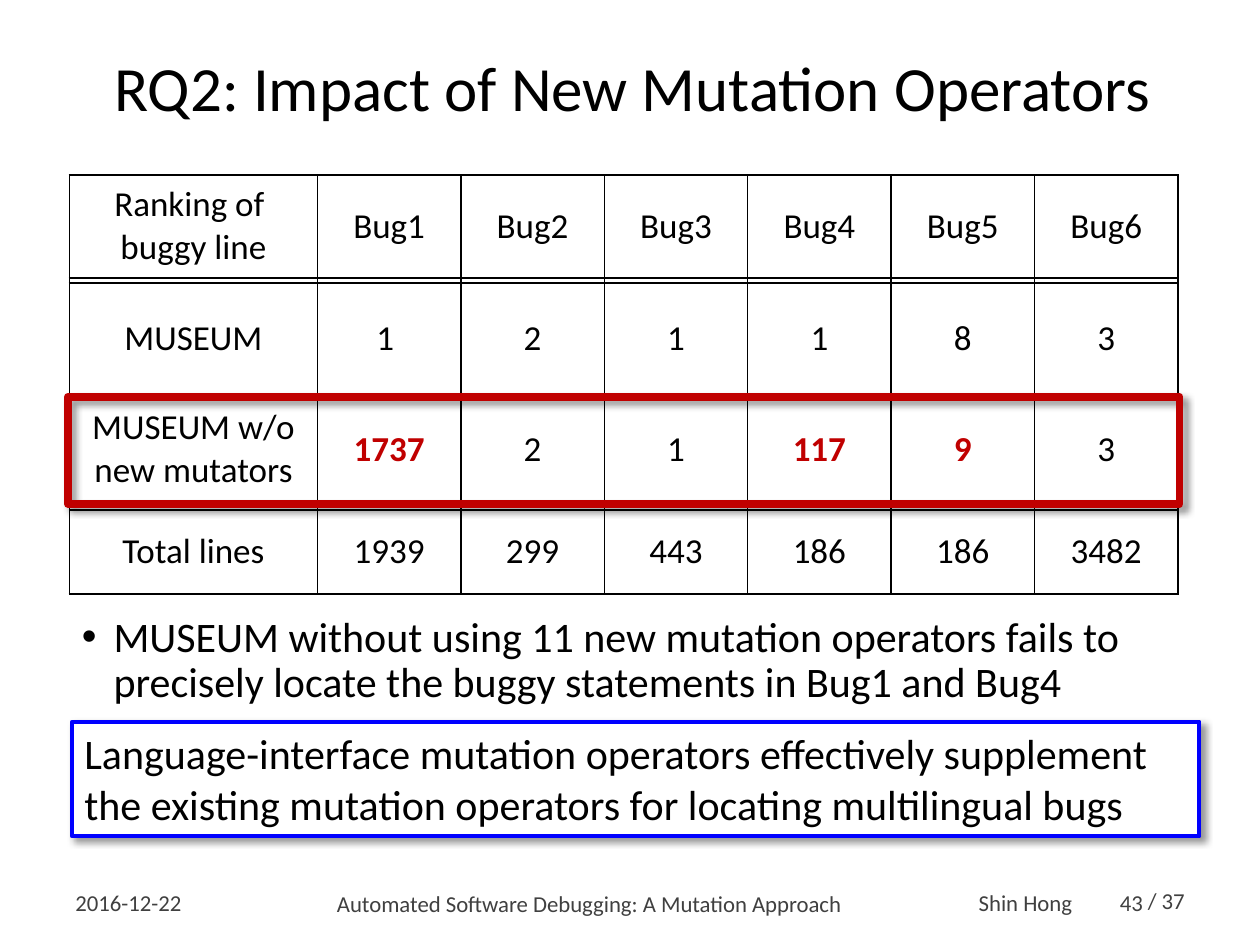
from dataclasses import dataclass

from lxml.etree import SubElement
from pptx import Presentation
from pptx.dml.color import RGBColor
from pptx.enum.shapes import MSO_SHAPE
from pptx.enum.text import MSO_ANCHOR, PP_ALIGN
from pptx.oxml.ns import qn
from pptx.util import Cm, Pt


@dataclass(frozen=True)
class Theme:
    font: str = "Calibri"
    ink: str = "000000"
    muted: str = "404040"
    paper: str = "FFFFFF"
    alert: str = "C00000"
    accent: str = "0000FF"
    title: int = 36
    body: int = 24
    cell: int = 20
    footer: int = 13


T = Theme()
HEADS = ["Ranking of \vbuggy line"] + [f"Bug{n}" for n in range(1, 7)]
ROWS = [
    HEADS,
    None,  # thin row that makes a double rule
    ["MUSEUM", "1 ", "2", "1", "1", "8", "3"],
    ["MUSEUM w/o new mutators", "1737", "2", "1", "117", "9", "3"],
    None,
    ["Total lines", "1939", "299", "443", "186", "186", "3482"],
]
ROW_HEIGHTS = [2.07, 0.1, 2.24, 2.24, 0.1, 1.69]
WORSE = {"1737", "117", "9"}


def rgb(value):
    return RGBColor.from_string(value)


def write(tf, text, size, color=T.ink, bold=False, align=PP_ALIGN.LEFT,
          anchor=MSO_ANCHOR.MIDDLE, spacing=None, bullet=False):
    """Fill a text frame with one formatted paragraph."""
    tf.word_wrap = True
    tf.vertical_anchor = anchor
    p = tf.paragraphs[0]
    p.text = text
    p.alignment = align
    if spacing:
        p.line_spacing = spacing
    if bullet:
        pPr = p._p.get_or_add_pPr()
        pPr.set("marL", str(Cm(0.64)))
        pPr.set("indent", str(Cm(-0.64)))
        SubElement(pPr, qn("a:buFont"), typeface="Arial")
        SubElement(pPr, qn("a:buChar"), char="•")
    for r in p.runs:
        r.font.name = T.font
        r.font.size = Pt(size)
        r.font.bold = bold
        r.font.color.rgb = rgb(color)


def add_text(s, box, text, size, **fmt):
    sp = s.shapes.add_textbox(*map(Cm, box))
    write(sp.text_frame, text, size, **fmt)


def add_frame(s, box, color, width, fill=None):
    """Outlined rectangle with a soft shadow at the lower right."""
    sp = s.shapes.add_shape(MSO_SHAPE.RECTANGLE, *map(Cm, box))
    if fill:
        sp.fill.solid()
        sp.fill.fore_color.rgb = rgb(fill)
    else:
        sp.fill.background()
    sp.line.color.rgb = rgb(color)
    sp.line.width = Pt(width)
    sp.shadow.inherit = False
    effects = sp._element.spPr.find(qn("a:effectLst"))
    shadow = SubElement(effects, qn("a:outerShdw"), blurRad=str(Pt(4)),
                        dist=str(Pt(3)), dir="2700000", algn="tl", rotWithShape="0")
    shade = SubElement(shadow, qn("a:srgbClr"), val=T.ink)
    SubElement(shade, qn("a:alpha"), val="40000")
    return sp


def add_borders(cell):
    tcPr = cell._tc.get_or_add_tcPr()
    for side in ("lnL", "lnR", "lnT", "lnB"):
        ln = SubElement(tcPr, qn(f"a:{side}"), w=str(Pt(1)))
        fill = SubElement(ln, qn("a:solidFill"))
        SubElement(fill, qn("a:srgbClr"), val=T.ink)


def ranking_table(s, left, top, width):
    """Ranking grid, with the row of weaker results framed."""
    first = 5.0
    other = (width - first) / (len(HEADS) - 1)
    table = s.shapes.add_table(len(ROWS), len(HEADS), Cm(left), Cm(top),
                               Cm(width), Cm(sum(ROW_HEIGHTS))).table
    table.first_row = table.horz_banding = False
    for i, column in enumerate(table.columns):
        column.width = Cm(other if i else first)
    for row, height, values in zip(table.rows, ROW_HEIGHTS, ROWS):
        row.height = Cm(height)
        for i, cell in enumerate(row.cells):
            add_borders(cell)
            cell.fill.background()
            if values:
                worse = values[i] in WORSE
                write(cell.text_frame, values[i], T.cell, bold=worse,
                      color=T.alert if worse else T.ink, align=PP_ALIGN.CENTER)
                cell.vertical_anchor = MSO_ANCHOR.MIDDLE
            else:
                cell.margin_top = cell.margin_bottom = 0
                SubElement(cell.text_frame.paragraphs[0]._p,
                           qn("a:endParaRPr"), sz="100")
    add_frame(s, (left - 0.03, top + sum(ROW_HEIGHTS[:3]) + 0.06, width + 0.06, 2.16),
              T.alert, 4.5)


def heading(s, box, text):
    sp = s.shapes.title
    sp.left, sp.top, sp.width, sp.height = map(Cm, box)
    write(sp.text_frame, text, T.title, align=PP_ALIGN.CENTER, spacing=0.9)


def conclusion(s, left, top):
    """Bullet with the finding, then the boxed message."""
    add_text(s, (left, top, 22.35, 2.26),
             "MUSEUM without using 11 new mutation operators fails to precisely "
             "locate the buggy statements in Bug1 and Bug4",
             T.body, anchor=MSO_ANCHOR.TOP, spacing=0.9, bullet=True)
    sp = add_frame(s, (left + 0.05, top + 2.26, 22.73, 2.31), T.accent, 2.25, T.paper)
    write(sp.text_frame,
          "Language-interface mutation operators effectively supplement the "
          "existing mutation operators for locating multilingual bugs",
          T.body, anchor=MSO_ANCHOR.TOP)


def footer(s, left, top):
    parts = [
        (0, 0, 2.95, 1, "2016-12-22", {}),
        (3.12, 0, 14.96, 1.02, "Automated Software Debugging: A Mutation Approach",
         {"align": PP_ALIGN.CENTER}),
        (18.21, 0.23, 2.54, 0.66, "Shin Hong", {"spacing": 0.7}),
        (20.75, 0, 1.27, 1, "43", {"align": PP_ALIGN.RIGHT}),
        (21.62, 0.05, 1.68, 0.81, "/ 37", {}),
    ]
    for x, y, w, h, text, fmt in parts:
        add_text(s, (left + x, top + y, w, h), text, T.footer, color=T.muted, **fmt)


def main():
    prs = Presentation()
    prs.slide_width, prs.slide_height = Cm(25.4), Cm(19.05)
    s = prs.slides.add_slide(prs.slide_layouts[5])
    heading(s, (1.37, 0.46, 22.76, 2.74), "RQ2: Impact of New Mutation Operators")
    ranking_table(s, 1.4, 3.53, 22.35)
    conclusion(s, 1.4, 12.29)
    footer(s, 1.27, 17.7)
    prs.save("out.pptx")


if __name__ == "__main__":
    main()
